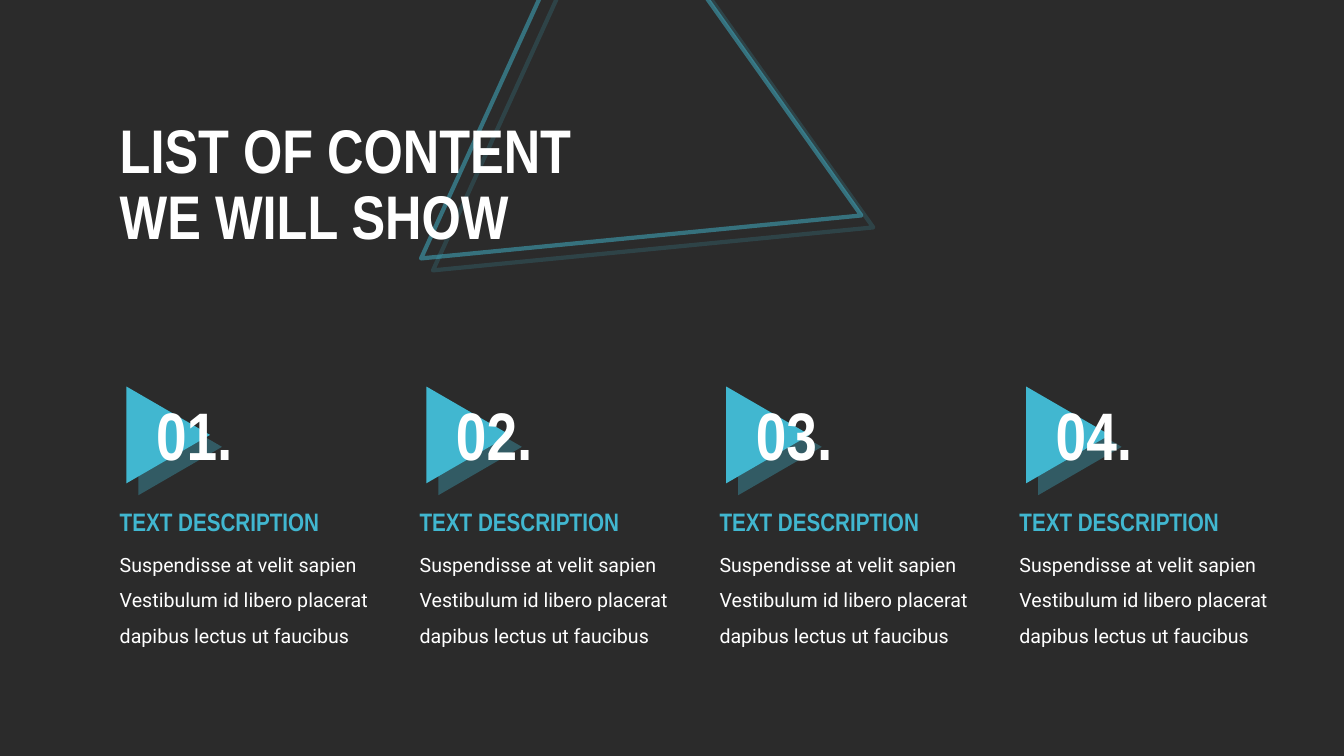
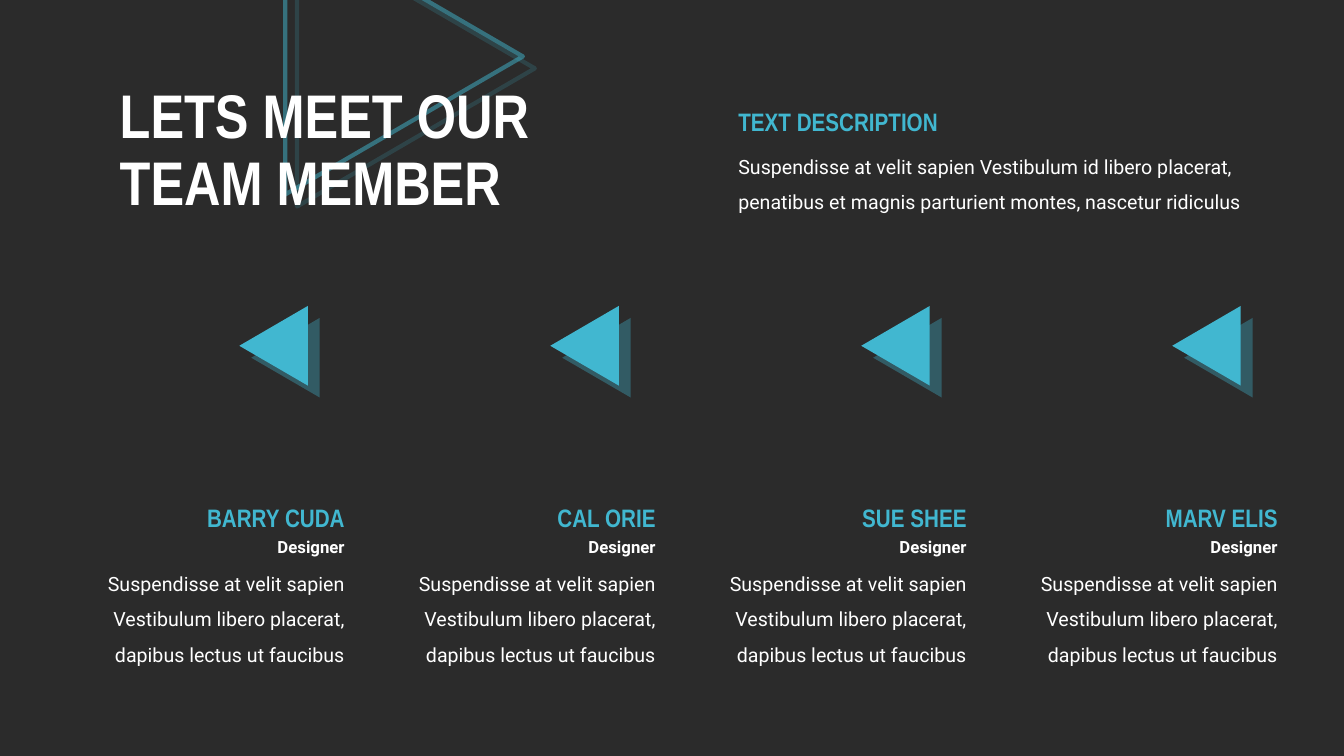
from dataclasses import dataclass

import pptx
import pptx.dml.color
import pptx.enum.shapes
import pptx.enum.text
import pptx.presentation
import pptx.shapes.autoshape
import pptx.slide
import pptx.util
from lxml import etree
from pptx.util import Inches

COLORS = {"background": "2B2B2B", "accent": "41B7D0", "text": "FFFFFF"}
DRAWING_NS = "http://schemas.openxmlformats.org/drawingml/2006/main"
LEFT = pptx.enum.text.PP_ALIGN.LEFT
RIGHT = pptx.enum.text.PP_ALIGN.RIGHT
COLUMN_COUNT = 4
MARGIN = 1.09


@dataclass(frozen=True)
class TextStyle:
    font: str
    size: float
    color: str = "text"
    bold: bool = False
    line_spacing: float = 1.0
    middle: bool = False


TITLE = TextStyle("Arial Narrow", 44, bold=True, line_spacing=0.9, middle=True)
NUMBER = TextStyle("Arial Narrow", 48, bold=True)
HEADING = TextStyle("Arial Narrow", 18, color="accent", bold=True)
ROLE = TextStyle("Roboto", 12, bold=True)
BODY = TextStyle("Roboto", 14, line_spacing=1.5)


@dataclass(frozen=True)
class Box:
    left: float
    top: float
    width: float
    height: float


@dataclass(frozen=True)
class Member:
    name: str
    role: str = "Designer"
    description: str = (
        "Suspendisse at velit sapien Vestibulum libero placerat, "
        "dapibus lectus ut faucibus"
    )


MEMBERS = [Member("BARRY CUDA"), Member("CAL ORIE"), Member("SUE SHEE"), Member("MARV ELIS")]


def color(name: str) -> pptx.dml.color.RGBColor:
    return pptx.dml.color.RGBColor.from_string(COLORS[name])


def column_lefts(first: float, last: float) -> list[float]:
    """Spread the columns evenly between the first and last left edge."""
    pitch = (last - first) / (COLUMN_COUNT - 1)
    return [first + index * pitch for index in range(COLUMN_COUNT)]


def add_text(
    slide: pptx.slide.Slide,
    text: str,
    box: Box,
    style: TextStyle,
    alignment: pptx.enum.text.PP_ALIGN = LEFT,
) -> None:
    shape = slide.shapes.add_textbox(
        Inches(box.left), Inches(box.top), Inches(box.width), Inches(box.height)
    )
    frame = shape.text_frame
    frame.word_wrap = True
    if style.middle:
        frame.vertical_anchor = pptx.enum.text.MSO_ANCHOR.MIDDLE
    paragraph = frame.paragraphs[0]
    paragraph.alignment = alignment
    paragraph.line_spacing = style.line_spacing
    for index, line in enumerate(text.split("\n")):
        if index:
            paragraph.add_line_break()
        run = paragraph.add_run()
        run.text = line
        run.font.name = style.font
        run.font.size = pptx.util.Pt(style.size)
        run.font.bold = style.bold
        run.font.color.rgb = color(style.color)


def add_alpha(color_element: etree._Element, percent: int) -> None:
    etree.SubElement(color_element, f"{{{DRAWING_NS}}}alpha", val=str(percent * 1000))


def add_offset_shadow(shape: pptx.shapes.autoshape.Shape) -> None:
    """Give the shape a hard, faint accent shadow down and to the right."""
    shape.shadow.inherit = False
    effects = shape.element.spPr.find(f"{{{DRAWING_NS}}}effectLst")
    shadow = etree.SubElement(
        effects,
        f"{{{DRAWING_NS}}}outerShdw",
        blurRad="0",
        dist=str(int(pptx.util.Pt(12.1))),
        dir=str(45 * 60000),
        algn="tl",
        rotWithShape="0",
    )
    shadow_color = etree.SubElement(
        shadow, f"{{{DRAWING_NS}}}srgbClr", val=COLORS["accent"]
    )
    add_alpha(shadow_color, 35)


def add_triangle(
    slide: pptx.slide.Slide, box: Box, rotation: float, outlined: bool = False
) -> None:
    shape = slide.shapes.add_shape(
        pptx.enum.shapes.MSO_SHAPE.ISOSCELES_TRIANGLE,
        Inches(box.left), Inches(box.top), Inches(box.width), Inches(box.height),
    )
    shape.rotation = rotation
    if outlined:
        shape.fill.background()
        shape.line.color.rgb = color("accent")
        shape.line.width = pptx.util.Pt(3)
        add_alpha(shape.line.fill._xPr.find(f".//{{{DRAWING_NS}}}srgbClr"), 50)
    else:
        shape.fill.solid()
        shape.fill.fore_color.rgb = color("accent")
        shape.line.fill.background()
    add_offset_shadow(shape)


def add_titled_slide(
    presentation: pptx.presentation.Presentation,
    title: str,
    title_top: float,
    triangle: Box,
    rotation: float,
) -> pptx.slide.Slide:
    slide = presentation.slides.add_slide(presentation.slide_layouts[6])
    add_triangle(slide, triangle, rotation, outlined=True)
    add_text(slide, title, Box(MARGIN, title_top, 5.62, 1.58), TITLE)
    return slide


def add_description(
    slide: pptx.slide.Slide, text: str, left: float, top: float, body: Box
) -> None:
    add_text(slide, text, body, BODY)
    add_text(slide, "TEXT DESCRIPTION", Box(left, top, 2.45, 0.4), HEADING)


def build_contents(presentation: pptx.presentation.Presentation) -> None:
    slide = add_titled_slide(
        presentation, "LIST OF CONTENT\nWE WILL SHOW", 1.06,
        Box(4.62, -0.55, 4.4, 3.8), 114.5,
    )
    text = (
        "Suspendisse at velit sapien Vestibulum id libero placerat "
        "dapibus lectus ut faucibus"
    )
    for number, left in enumerate(column_lefts(MARGIN, 10.02), start=1):
        add_triangle(slide, Box(left + 0.1, 3.9, 0.96, 0.83), 90)
        add_text(slide, f"{number:02}.", Box(left + 0.36, 3.85, 1.32, 0.9), NUMBER)
        add_description(slide, text, left, 4.97, Box(left, 5.32, 2.81, 1.15))


def build_team(presentation: pptx.presentation.Presentation) -> None:
    slide = add_titled_slide(
        presentation, "LETS MEET OUR\nTEAM MEMBER", 0.72,
        Box(2.64, -0.62, 2.74, 2.36), 90,
    )
    for member, left in zip(MEMBERS, column_lefts(0.68, 9.94)):
        rows = (
            (member.description, 5.51, 1.15, BODY),
            (member.name, 4.93, 0.4, HEADING),
            (member.role, 5.28, 0.3, ROLE),
        )
        for text, top, height, style in rows:
            add_text(slide, text, Box(left, top, 2.84, height), style, RIGHT)
        add_triangle(slide, Box(left + 1.64, 3.09, 0.79, 0.68), 270)
    text = (
        "Suspendisse at velit sapien Vestibulum id libero placerat, "
        "penatibus et magnis parturient montes, nascetur ridiculus"
    )
    add_description(slide, text, 7.23, 1.01, Box(7.23, 1.37, 5.55, 0.8))


def main() -> None:
    presentation = pptx.Presentation()
    presentation.slide_width = Inches(13.34)
    presentation.slide_height = Inches(7.5)
    background = presentation.slide_master.background.fill
    background.solid()
    background.fore_color.rgb = color("background")
    build_contents(presentation)
    build_team(presentation)
    presentation.save("out.pptx")


if __name__ == "__main__":
    main()
